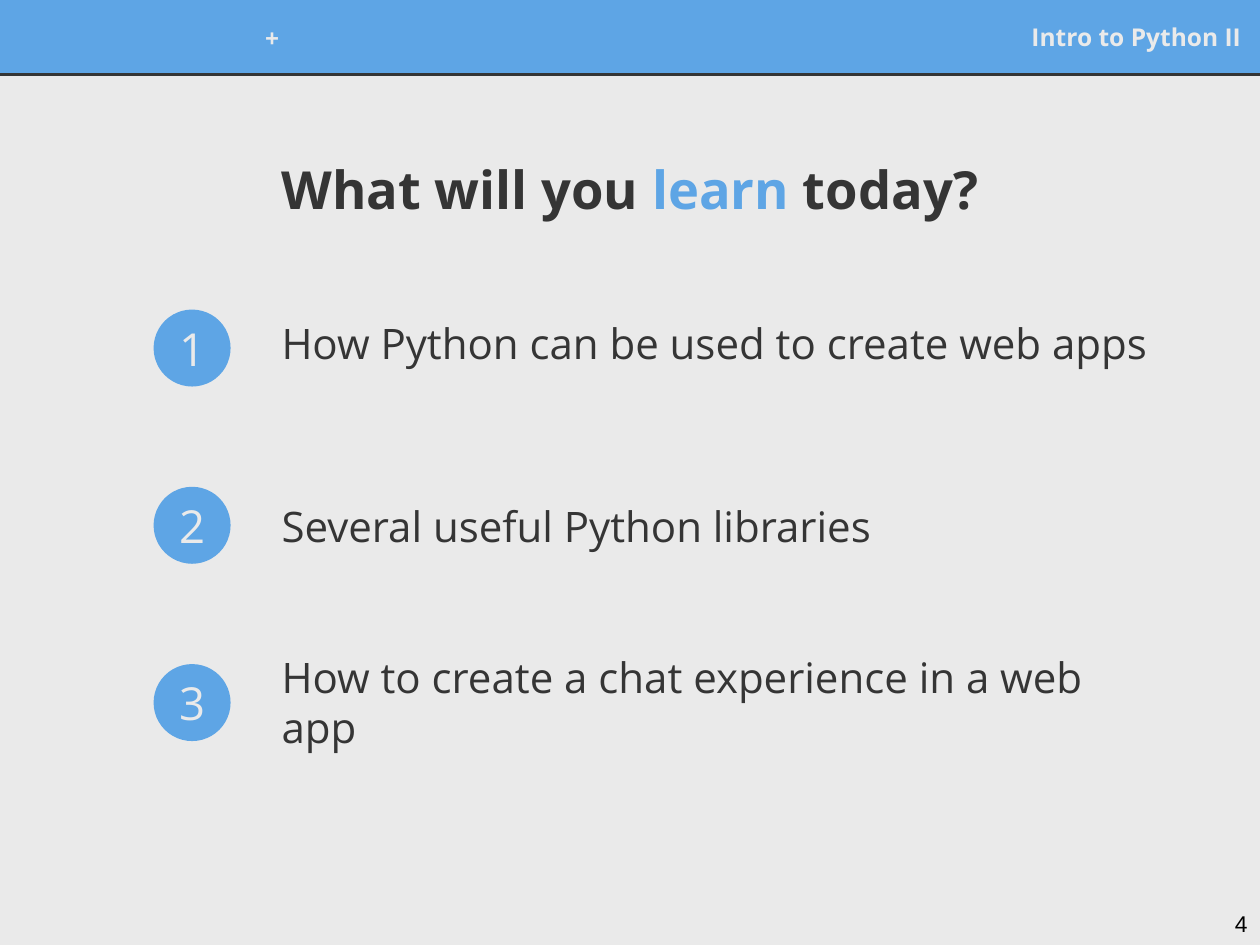
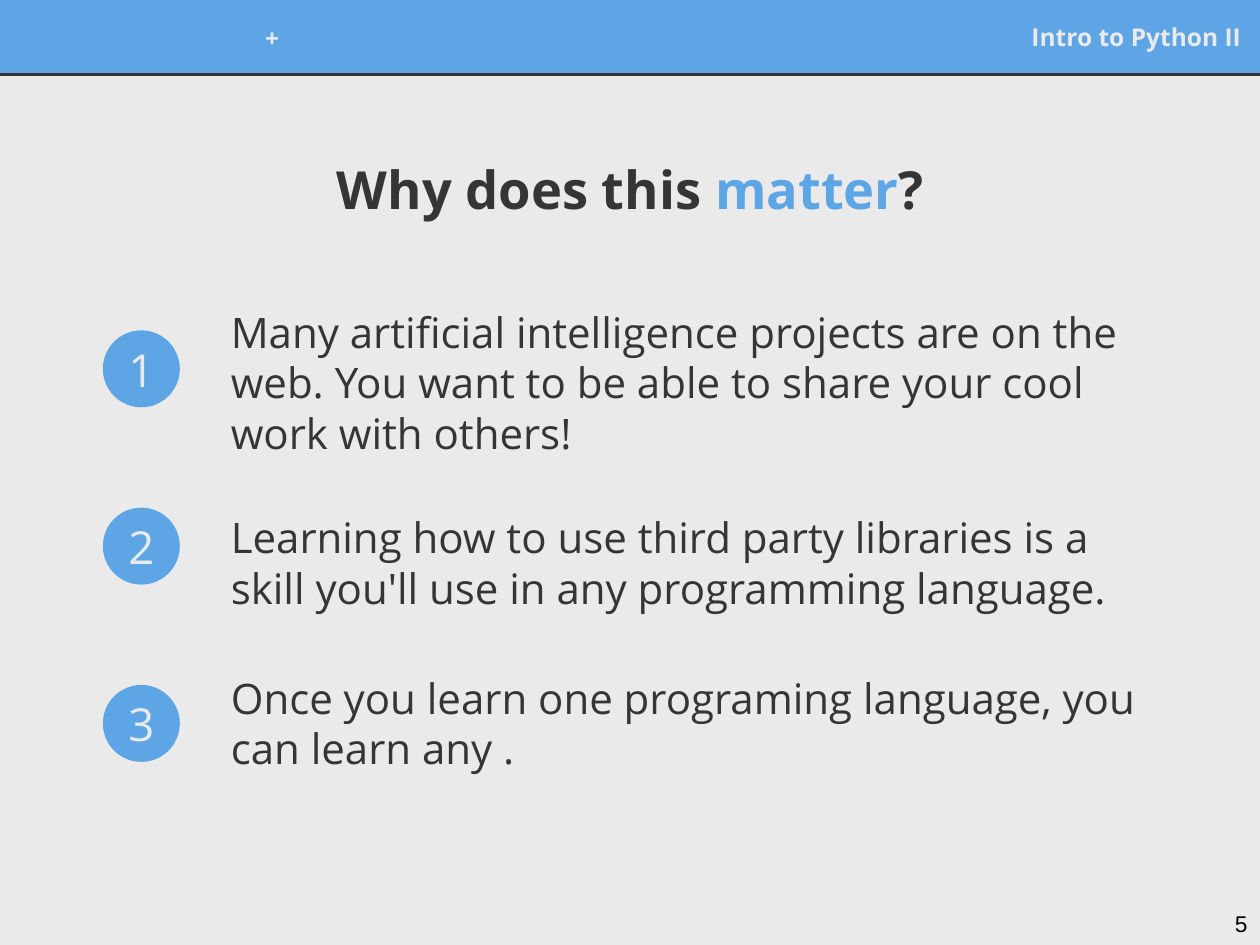
from lxml import etree
from pptx import Presentation
from pptx.dml.color import RGBColor
from pptx.enum.shapes import MSO_CONNECTOR, MSO_SHAPE
from pptx.enum.text import MSO_ANCHOR, PP_ALIGN
from pptx.oxml.ns import qn
from pptx.util import Pt

LEFT, CENTER, RIGHT = PP_ALIGN.LEFT, PP_ALIGN.CENTER, PP_ALIGN.RIGHT
TOP, MIDDLE = MSO_ANCHOR.TOP, MSO_ANCHOR.MIDDLE
RECT, OVAL = MSO_SHAPE.RECTANGLE, MSO_SHAPE.OVAL
STRAIGHT = MSO_CONNECTOR.STRAIGHT

BLUE, DARK, PALE, BLACK = "5EA5E5", "353535", "EAEAEA", "000000"
FONT, NUMBER_FONT = "Open Sans", "Arial"
WIDTH, HEIGHT = 720, 540
BAND_HEIGHT = 42.5
CIRCLE, PITCH, TEXT_INDENT = 44, 101.3, 66
TEXT_RISES = (10.8, 7.3, 7.9)
COURSE = "Intro to Python II"

SLIDES = [
    {
        "number": 4,
        "title": [("What will you ", DARK), ("learn", BLUE), (" today?", DARK)],
        "origin": (87.8, 176.9),
        "points": [
            ("How Python can be used to create web apps", 518, 59),
            ("Several useful Python libraries", 478, 59),
            ("How to create a chat experience in a web app", 478, 59),
        ],
    },
    {
        "number": 5,
        "title": [("Why does this ", DARK), ("matter", BLUE), ("?", DARK)],
        "origin": (58.8, 188.8),
        "points": [
            ("Many artificial intelligence projects are on the web. "
             "You want to be able to share your cool work with others!", 536.4, 80.6),
            ("Learning how to use third party libraries is a skill "
             "you'll use in any programming language.", 536.4, 77),
            ("Once you learn one programing language, you can learn any .", 536.4, 59),
        ],
    },
]


def rgb(value):
    return RGBColor.from_string(value)


def write(sp, runs, size, align=LEFT, anchor=MIDDLE, bold=False, font=FONT):
    tf = sp.text_frame
    tf.word_wrap = True
    tf.vertical_anchor = anchor
    tf.margin_left = tf.margin_right = tf.margin_top = tf.margin_bottom = Pt(7.2)
    p = tf.paragraphs[0]
    p.alignment = align
    for text, color in runs:
        r = p.add_run()
        r.text = text
        r.font.name = font
        r.font.size = Pt(size)
        r.font.bold = bold
        r.font.color.rgb = rgb(color)


def add_text(s, box, runs, size, **style):
    write(s.shapes.add_textbox(*map(Pt, box)), runs, size, **style)


def add_filled(s, kind, box):
    sp = s.shapes.add_shape(kind, *map(Pt, box))
    sp.shadow.inherit = False
    sp.fill.solid()
    sp.fill.fore_color.rgb = rgb(BLUE)
    sp.line.fill.background()
    return sp


def add_frame(s, number):
    s.background.fill.solid()
    s.background.fill.fore_color.rgb = rgb(PALE)
    band = add_filled(s, RECT, (0, 0, WIDTH, BAND_HEIGHT))
    band.line.color.rgb = rgb(BLUE)
    band.line.width = Pt(0.75)
    rule = s.shapes.add_connector(
        STRAIGHT, 0, Pt(BAND_HEIGHT), Pt(WIDTH), Pt(BAND_HEIGHT))
    rule.line.color.rgb = rgb(DARK)
    rule.line.width = Pt(1.5)
    etree.SubElement(rule.element.spPr, qn("a:effectLst"))
    add_text(s, (449.3, 7.2, 267, 27.4), [(COURSE, PALE)], 14, align=RIGHT, bold=True)
    add_text(s, (133.9, 7.9, 43.2, 27.4), [("+", PALE)], 14, align=CENTER, bold=True)
    add_text(s, (WIDTH - 43.2, HEIGHT - 27.4, 43.2, 27.4), [(str(number), BLACK)], 13,
             align=RIGHT, anchor=TOP, font=NUMBER_FONT)


def add_points(s, origin, points):
    left, top = origin
    for i, ((text, width, height), rise) in enumerate(zip(points, TEXT_RISES)):
        y = top + i * PITCH
        circle = add_filled(s, OVAL, (left, y, CIRCLE, CIRCLE))
        write(circle, [(str(i + 1), PALE)], 26, align=CENTER)
        add_text(s, (left + TEXT_INDENT, y - rise, width, height), [(text, DARK)], 24)


def main():
    prs = Presentation()
    prs.slide_width, prs.slide_height = Pt(WIDTH), Pt(HEIGHT)
    for content in SLIDES:
        s = prs.slides.add_slide(prs.slide_layouts[6])
        add_frame(s, content["number"])
        add_text(s, (12.8, 67.7, 694.8, 80.6), content["title"], 30, align=CENTER, bold=True)
        add_points(s, content["origin"], content["points"])
    prs.save("out.pptx")


if __name__ == "__main__":
    main()
